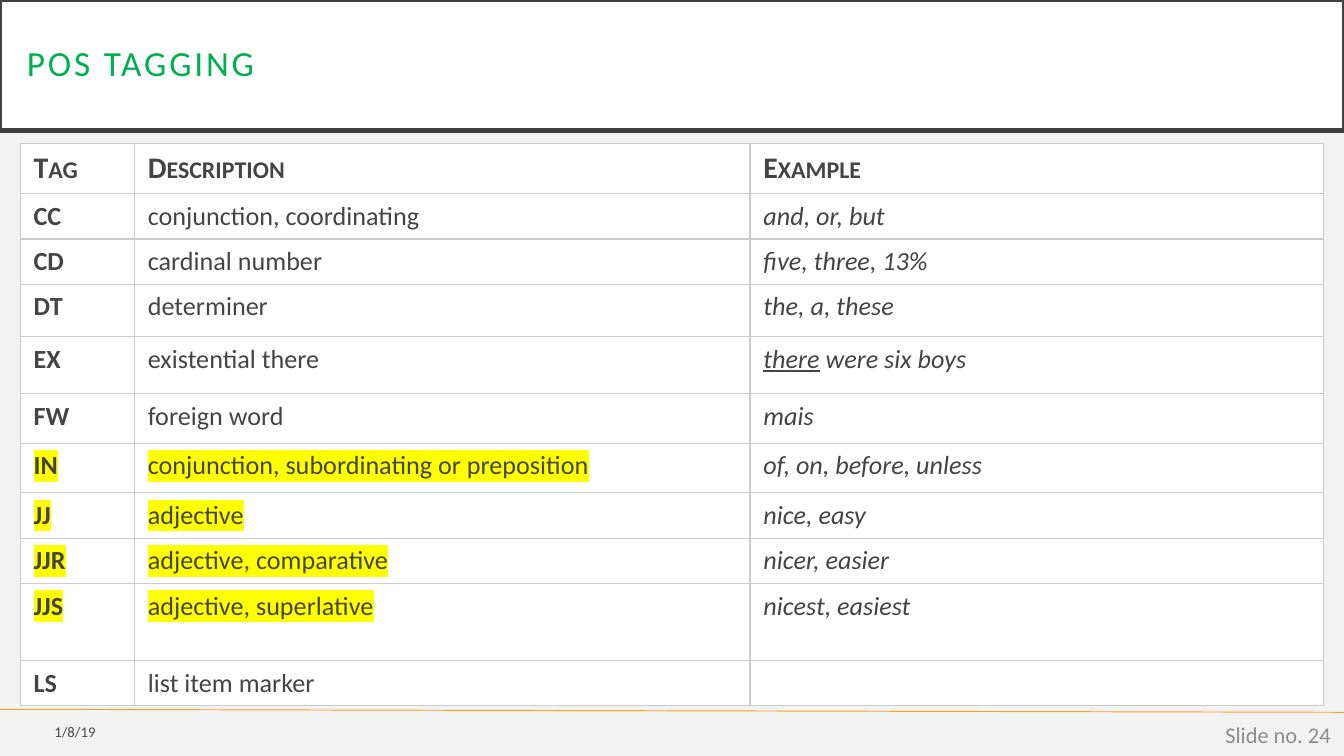
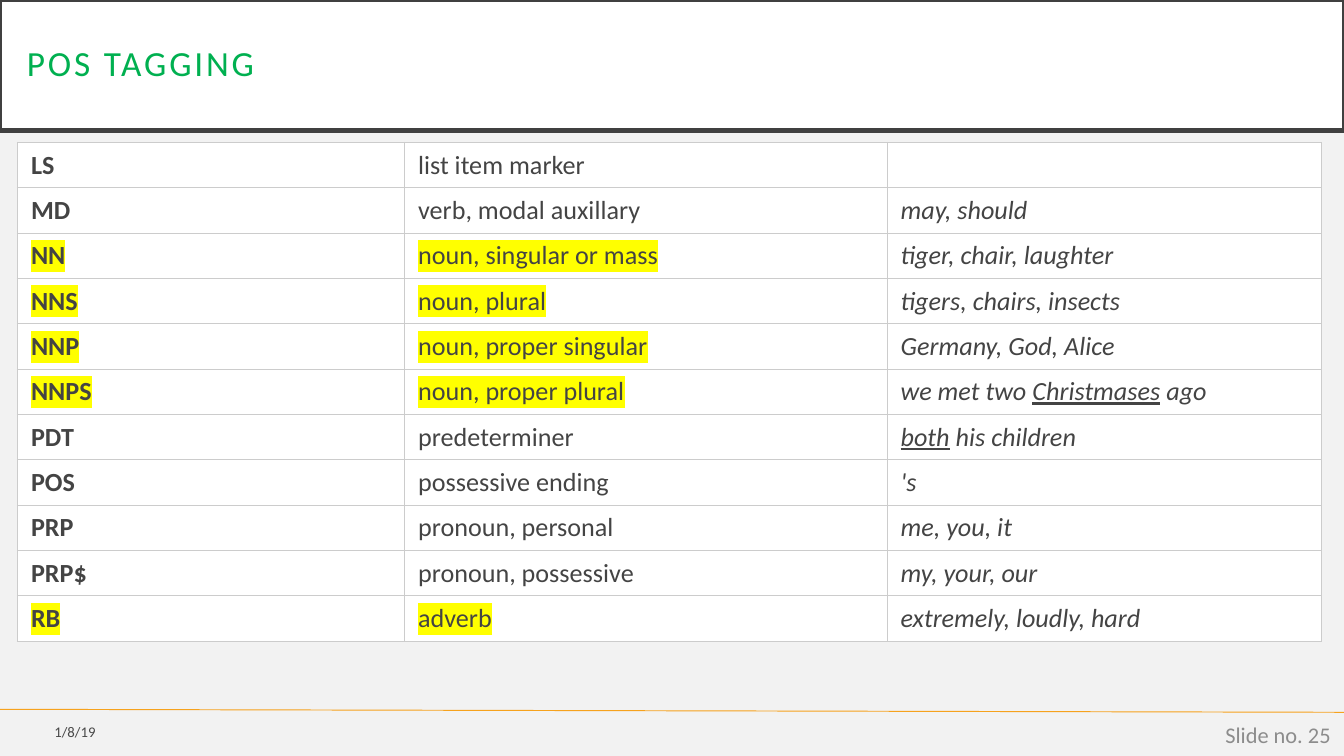
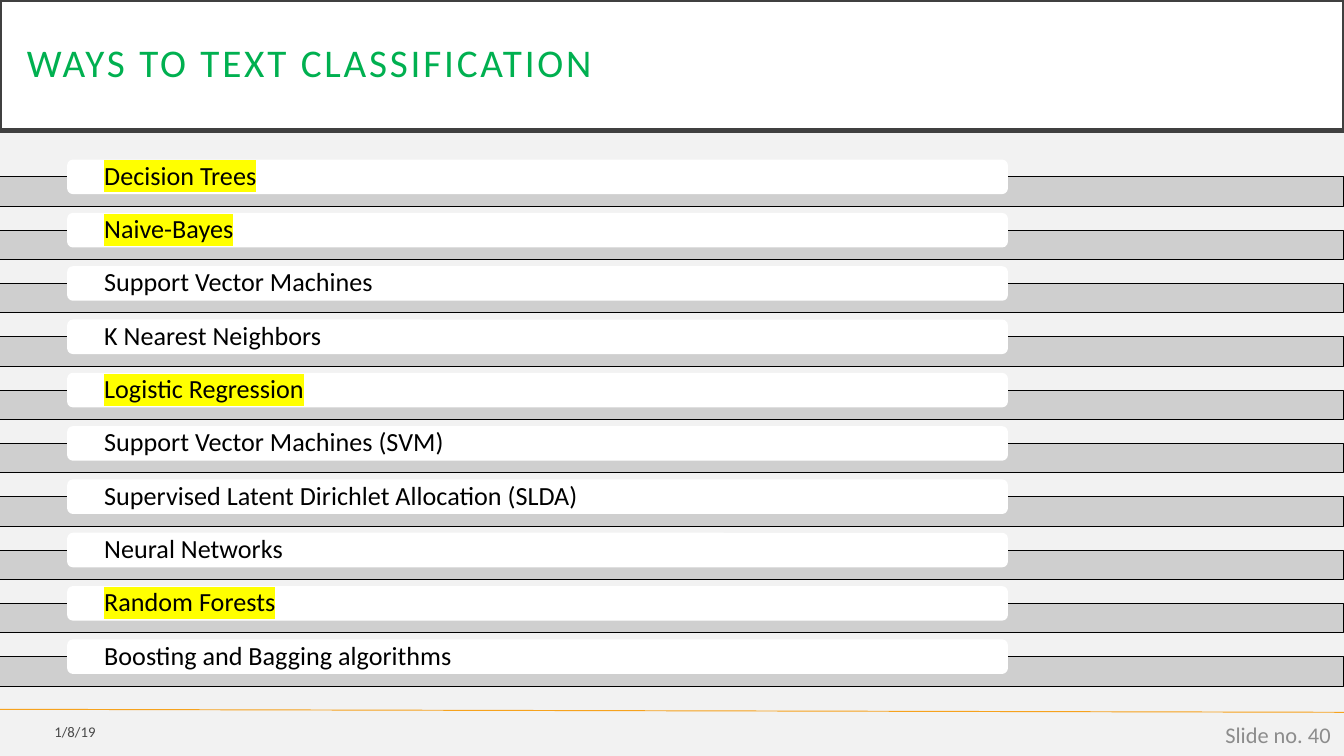
from dataclasses import dataclass

from lxml.etree import SubElement
from pptx import Presentation
from pptx.dml.color import RGBColor
from pptx.enum.shapes import MSO_CONNECTOR, MSO_SHAPE
from pptx.enum.text import MSO_ANCHOR, PP_ALIGN
from pptx.oxml.ns import qn
from pptx.util import Pt


@dataclass(frozen=True)
class Theme:
    font: str = "Calibri"
    page: str = "F2F2F2"
    panel: str = "FFFFFF"
    frame: str = "404040"
    title: str = "00B050"
    accent: str = "F6A21D"
    grid: str = "CCCCCC"
    table_text: str = "444444"
    ink: str = "000000"
    number: str = "8C8C8C"
    marker: str = "FFFF00"
    header_size: float = 16
    body_size: float = 14
    date_size: float = 7.9
    number_size: float = 12


theme = Theme()


def write(para, text, size, color, bold=False, italic=False, marked=False):
    for index, part in enumerate(text.split("_")):
        if not part:
            continue
        span = para.add_run()
        span.text = part
        font = span.font
        font.size, font.bold, font.italic = Pt(size), bold, italic
        font.underline = index % 2 == 1
        font.color.rgb = RGBColor.from_string(color)
        font.name = theme.font
        if marked:
            props = span._r.get_or_add_rPr()
            highlight = SubElement(props, qn("a:highlight"))
            SubElement(highlight, qn("a:srgbClr"), val=theme.marker)
            props.find(qn("a:solidFill")).addnext(highlight)


def set_opacity(element, percent):
    for color in element.iter(qn("a:srgbClr")):
        SubElement(color, qn("a:alpha"), val=str(percent * 1000))


row = 24.3
tables = [
    {
        "title": "POS TAGGING",
        "number": 24,
        "left": 10.8,
        "top": 77,
        "columns": [61.2, 329.8, 307.4],
        "heights": [26.8, row, row, 28, 30.5, 26.6, 26.6, row, row, 41.3, row],
        "header": True,
        "marked": {"IN", "JJ", "JJR", "JJS"},
        "rows": [
            ("Tag", "Description", "Example"),
            ("CC", "conjunction, coordinating", "and, or, but"),
            ("CD", "cardinal number", "five, three, 13%"),
            ("DT", "determiner", "the, a, these"),
            ("EX", "existential there", "_there_ were six boys"),
            ("FW", "foreign word", "mais"),
            ("IN", "conjunction, subordinating or preposition", "of, on, before, unless"),
            ("JJ", "adjective", "nice, easy"),
            ("JJR", "adjective, comparative", "nicer, easier"),
            ("JJS", "adjective, superlative", "nicest, easiest"),
            ("LS", "list item marker", ""),
        ],
    },
    {
        "title": "POS TAGGING",
        "number": 25,
        "left": 9.4,
        "top": 76.3,
        "columns": [207.4, 258.5, 232.6],
        "heights": [row] * 11,
        "header": False,
        "marked": {"NN", "NNS", "NNP", "NNPS", "RB"},
        "rows": [
            ("LS", "list item marker", ""),
            ("MD", "verb, modal auxillary", "may, should"),
            ("NN", "noun, singular or mass", "tiger, chair, laughter"),
            ("NNS", "noun, plural", "tigers, chairs, insects"),
            ("NNP", "noun, proper singular", "Germany, God, Alice"),
            ("NNPS", "noun, proper plural", "we met two _Christmases_ ago"),
            ("PDT", "predeterminer", "_both_ his children"),
            ("POS", "possessive ending", "'s"),
            ("PRP", "pronoun, personal", "me, you, it"),
            ("PRP$", "pronoun, possessive", "my, your, our"),
            ("RB", "adverb", "extremely, loudly, hard"),
        ],
    },
]

methods = [
    ("Decision Trees", True),
    ("Naive-Bayes", True),
    ("Support Vector Machines", False),
    ("K Nearest Neighbors", False),
    ("Logistic Regression", True),
    ("Support Vector Machines (SVM)", False),
    ("Supervised Latent Dirichlet Allocation (SLDA)", False),
    ("Neural Networks", False),
    ("Random Forests", True),
    ("Boosting and Bagging algorithms", False),
]

deck = Presentation()
deck.slide_width, deck.slide_height = Pt(720), Pt(405)
background = deck.slide_master.background.fill
background.solid()
background.fore_color.rgb = RGBColor.from_string(theme.page)

headings = [(table["title"], table["number"], 18.9) for table in tables]
headings.append(("WAYS TO TEXT CLASSIFICATION", 40, 21))
pages = []
for heading, number, heading_size in headings:
    page = deck.slides.add_slide(deck.slide_layouts[5])
    pages.append(page)

    title = page.shapes.title
    title.left, title.top, title.width, title.height = Pt(0), Pt(0), Pt(720), Pt(70)
    title.fill.solid()
    title.fill.fore_color.rgb = RGBColor.from_string(theme.panel)
    title.line.color.rgb = RGBColor.from_string(theme.frame)
    title.line.width = Pt(2.5)
    frame = title.text_frame
    frame.vertical_anchor = MSO_ANCHOR.MIDDLE
    frame.margin_left = frame.margin_right = Pt(14.4)
    frame.margin_top = frame.margin_bottom = Pt(14.4)
    para = frame.paragraphs[0]
    para.alignment = PP_ALIGN.LEFT
    para.line_spacing = 0.9
    write(para, heading, heading_size, theme.title)
    para.runs[0]._r.get_or_add_rPr().set("spc", "150")

    rule = page.shapes.add_connector(
        MSO_CONNECTOR.STRAIGHT, Pt(0), Pt(380), Pt(720), Pt(381.6))
    rule.line.color.rgb = RGBColor.from_string(theme.accent)
    rule.line.width = Pt(0.5)
    SubElement(rule._element.spPr, qn("a:effectLst"))

    for text, left, top, width, height, size, color, opacity in (
        ("1/8/19", 0, 382.3, 58.3, 19.4, theme.date_size, theme.ink, 70),
        (f"Slide no. {number}", 558, 383, 162, 21.6, theme.number_size, theme.number, 100),
    ):
        box = page.shapes.add_textbox(Pt(left), Pt(top), Pt(width), Pt(height))
        box.text_frame.word_wrap = True
        box.text_frame.vertical_anchor = MSO_ANCHOR.MIDDLE
        para = box.text_frame.paragraphs[0]
        para.alignment = PP_ALIGN.RIGHT
        write(para, text, size, color)
        set_opacity(para._p, opacity)

for page, content in zip(pages, tables):
    tag_table = page.shapes.add_table(
        len(content["rows"]), len(content["columns"]),
        Pt(content["left"]), Pt(content["top"]),
        Pt(sum(content["columns"])), Pt(sum(content["heights"]))).table
    tag_table.first_row = tag_table.horz_banding = False
    for column, width in zip(tag_table.columns, content["columns"]):
        column.width = Pt(width)
    for row_index, texts in enumerate(content["rows"]):
        tag_table.rows[row_index].height = Pt(content["heights"][row_index])
        is_header = content["header"] and row_index == 0
        size = theme.header_size if is_header else theme.body_size
        for column_index, text in enumerate(texts):
            cell = tag_table.cell(row_index, column_index)
            props = cell._tc.get_or_add_tcPr()
            for side in ("a:lnL", "a:lnR", "a:lnT", "a:lnB"):
                border = SubElement(props, qn(side), w=str(Pt(0.75)))
                fill = SubElement(border, qn("a:solidFill"))
                SubElement(fill, qn("a:srgbClr"), val=theme.grid)
            cell.fill.solid()
            cell.fill.fore_color.rgb = RGBColor.from_string(theme.panel)
            para = cell.text_frame.paragraphs[0]
            write(para, text, size, theme.table_text,
                  bold=is_header or column_index == 0,
                  italic=column_index == 2 and not is_header,
                  marked=column_index < 2 and texts[0] in content["marked"])
            if is_header:
                para.runs[0]._r.get_or_add_rPr().set("cap", "small")
            if not text:
                SubElement(para._p, qn("a:endParaRPr"), sz=str(theme.body_size * 100))

method_page = pages[-1]
for index, (method, marked) in enumerate(methods):
    offset = index * 28.56
    band = method_page.shapes.add_shape(
        MSO_SHAPE.RECTANGLE, Pt(0), Pt(94.8 + offset), Pt(720), Pt(15.8))
    band.shadow.inherit = False
    band.fill.solid()
    band.fill.fore_color.rgb = RGBColor.from_string(theme.grid)
    set_opacity(band._element.spPr, 90)
    band.line.color.rgb = RGBColor.from_string(theme.ink)
    band.line.width = Pt(0.5)

    label = method_page.shapes.add_shape(
        MSO_SHAPE.ROUNDED_RECTANGLE, Pt(36), Pt(85.5 + offset), Pt(504), Pt(18.5))
    label.shadow.inherit = False
    label.fill.solid()
    label.fill.fore_color.rgb = RGBColor.from_string(theme.panel)
    label.line.fill.background()
    frame = label.text_frame
    frame.word_wrap = True
    frame.vertical_anchor = MSO_ANCHOR.MIDDLE
    frame.margin_left = frame.margin_right = Pt(19)
    frame.margin_top = frame.margin_bottom = Pt(0)
    para = frame.paragraphs[0]
    para.alignment = PP_ALIGN.LEFT
    para.line_spacing = 0.9
    write(para, method, theme.body_size, theme.ink, marked=marked)

deck.save("out.pptx")
